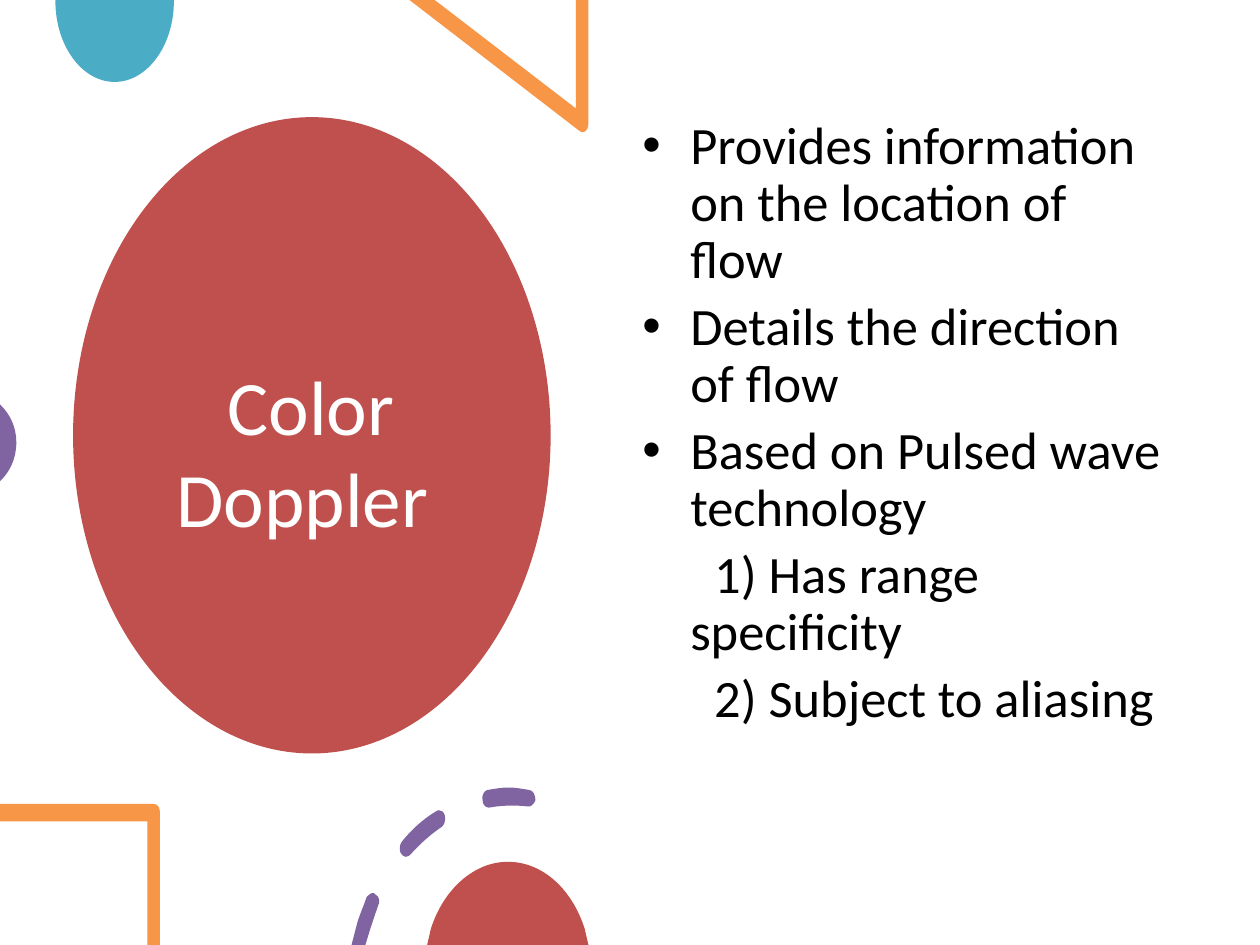
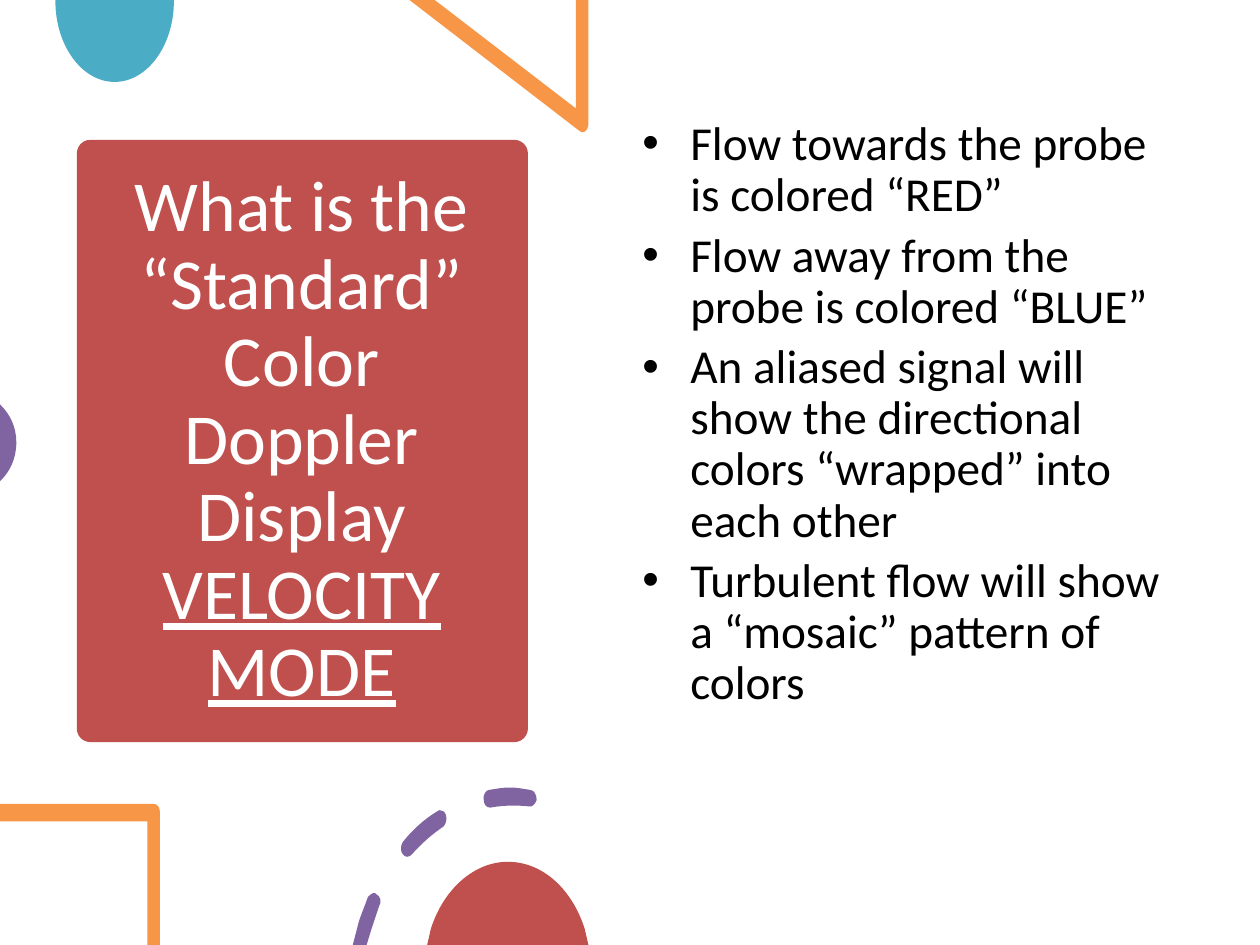
from dataclasses import dataclass

from lxml import etree
from pptx import Presentation
from pptx import util as u
from pptx.dml.color import RGBColor
from pptx.enum import shapes, text
from pptx.oxml.ns import qn


@dataclass(frozen=True)
class Theme:
    font: str = "Calibri"
    red: str = "C0504D"
    teal: str = "4BACC6"
    orange: str = "F79646"
    purple: str = "8064A2"
    white: str = "FFFFFF"
    black: str = "000000"
    large_title: int = 44
    long_title: int = 41
    large_body: int = 30
    dense_body: int = 27
    tight: float = 0.9
    paragraph_gap: float = 0.2
    hanging: float = 0.38
    step_indent: float = 0.19


THEME = Theme()
UNITS = 1000
BODY_BOX = (5, 0.9, 4.31, 5.35)

TEAL_DISC = [[(0.94, 0), (0, 0), (0, 0.01),
              (0, 0.36, 0.21, 0.65, 0.47, 0.65), (0.73, 0.65, 0.94, 0.36, 0.94, 0.01)]]
TRIANGLE = [[(1.42, 0), (1.32, 0), (1.32, 0.86), (0.2, 0), (0, 0), (1.35, 1.04),
             (1.36, 1.05, 1.36, 1.05, 1.37, 1.05), (1.4, 1.05, 1.42, 1.02, 1.42, 0.98)]]
PURPLE_DISC = [[(0, 0), (0, 0.61), (0.01, 0.6),
                (0.08, 0.53, 0.13, 0.43, 0.13, 0.3), (0.13, 0.18, 0.08, 0.08, 0.01, 0.01)]]
FRAME = [[(1.22, 0), (0, 0), (0, 0.14), (1.17, 0.14), (1.17, 1.12), (1.27, 1.12),
          (1.27, 0.07), (1.27, 0.03, 1.25, 0, 1.22, 0)]]
DASHED_ARC = [
    [(0.18, 0.84), (0.16, 0.83, 0.14, 0.85, 0.12, 0.87), (0.1, 0.93, 0.07, 1, 0.05, 1.06),
     (0, 1.25), (0.11, 1.25), (0.15, 1.12), (0.17, 1.06, 0.19, 1, 0.21, 0.94),
     (0.23, 0.91, 0.22, 0.86, 0.19, 0.85), (0.19, 0.84, 0.18, 0.84, 0.18, 0.84)],
    [(0.69, 0.18), (0.68, 0.18, 0.68, 0.18, 0.67, 0.19), (0.57, 0.25, 0.48, 0.33, 0.4, 0.43),
     (0.38, 0.45, 0.38, 0.5, 0.39, 0.52), (0.4, 0.54, 0.42, 0.55, 0.43, 0.55),
     (0.45, 0.55, 0.46, 0.54, 0.47, 0.53), (0.54, 0.45, 0.63, 0.37, 0.72, 0.31),
     (0.74, 0.29, 0.75, 0.25, 0.74, 0.22), (0.73, 0.19, 0.71, 0.18, 0.69, 0.18)],
    [(1.25, 0), (1.19, 0, 1.14, 0.01, 1.08, 0.02), (1.06, 0.02, 1.03, 0.06, 1.04, 0.1),
     (1.04, 0.13, 1.06, 0.16, 1.09, 0.16), (1.2, 0.14, 1.3, 0.14, 1.4, 0.15),
     (1.42, 0.16, 1.45, 0.13, 1.46, 0.1), (1.46, 0.06, 1.44, 0.02, 1.41, 0.02),
     (1.35, 0.01, 1.3, 0, 1.25, 0)],
]
RED_DISC = [[(0.64, 0), (0.37, 0, 0.13, 0.22, 0.03, 0.53), (0, 0.66), (1.28, 0.66),
             (1.25, 0.53), (1.15, 0.22, 0.92, 0, 0.64, 0)]]


def set_attributes(target, **values):
    for name, value in values.items():
        setattr(target, name, value)


def paint(shape, color):
    shape.shadow.inherit = False
    shape.fill.solid()
    shape.fill.fore_color.rgb = RGBColor.from_string(color)
    shape.line.fill.background()


def to_units(segment):
    return [round(length * UNITS) for length in segment]


def bend_segments(shape, segments):
    for node, segment in zip(list(shape._element.iter(qn("a:lnTo"))), segments):
        if len(segment) == 2:
            continue
        node.tag = qn("a:cubicBezTo")
        for index, start in enumerate((0, 2)):
            x, y = segment[start:start + 2]
            node.insert(index, etree.Element(qn("a:pt"), x=str(x), y=str(y)))


def add_outline(slide, left, top, outlines, color):
    contours = [[to_units(segment) for segment in outline] for outline in outlines]
    builder = slide.shapes.build_freeform(*contours[0][0], scale=u.Inches(1) / UNITS)
    for index, (start, *segments) in enumerate(contours):
        if index:
            builder.move_to(*start)
        builder.add_line_segments([segment[-2:] for segment in segments], close=True)
    shape = builder.convert_to_shape(u.Inches(left), u.Inches(top))
    bend_segments(shape, [segment for contour in contours for segment in contour[1:]])
    paint(shape, color)


def add_text_frame(slide, box, anchor):
    frame = slide.shapes.add_textbox(*map(u.Inches, box)).text_frame
    set_attributes(frame, word_wrap=True, vertical_anchor=anchor)
    return frame


def add_run(paragraph, words, size, color, underline=None):
    run = paragraph.add_run()
    run.text = words
    set_attributes(run.font, name=THEME.font, size=u.Pt(size), underline=underline)
    run.font.color.rgb = RGBColor.from_string(color)


def add_title(slide, box, lines, size, spacing):
    paragraph = add_text_frame(slide, box, text.MSO_ANCHOR.MIDDLE).paragraphs[0]
    set_attributes(paragraph, alignment=text.PP_ALIGN.CENTER, line_spacing=spacing)
    for index, (words, underline) in enumerate(lines):
        if index:
            paragraph.add_line_break()
        add_run(paragraph, words, size, THEME.white, underline)


def add_title_panel(slide, box, kind, corner=None):
    panel = slide.shapes.add_shape(kind, *map(u.Inches, box))
    if corner is not None:
        panel.adjustments[0] = corner
    paint(panel, THEME.red)


def set_indent(paragraph, bulleted):
    properties = paragraph._p.get_or_add_pPr()
    indent = -THEME.hanging if bulleted else THEME.step_indent
    properties.set("marL", str(u.Inches(THEME.hanging)))
    properties.set("indent", str(u.Inches(indent)))
    if bulleted:
        etree.SubElement(properties, qn("a:buFont"), typeface="Arial")
        etree.SubElement(properties, qn("a:buChar"), char="•")
    else:
        etree.SubElement(properties, qn("a:buNone"))


def add_body(slide, box, points, size, steps=()):
    frame = add_text_frame(slide, box, text.MSO_ANCHOR.TOP)
    for index, words in enumerate([*points, *steps]):
        paragraph = frame.add_paragraph() if index else frame.paragraphs[0]
        set_indent(paragraph, index < len(points))
        gap = size * THEME.paragraph_gap if index else 0
        set_attributes(paragraph, line_spacing=THEME.tight, space_before=u.Pt(gap))
        add_run(paragraph, words, size, THEME.black)


def add_decorations(slide, arc_left):
    for left, top, outlines, color in (
        (0.44, 0, TEAL_DISC, THEME.teal),
        (3.25, 0, TRIANGLE, THEME.orange),
        (0, 3.21, PURPLE_DISC, THEME.purple),
        (0, 6.38, FRAME, THEME.orange),
        (arc_left, 6.25, DASHED_ARC, THEME.purple),
        (3.39, 6.84, RED_DISC, THEME.red),
    ):
        add_outline(slide, left, top, outlines, color)


def add_color_doppler(slide):
    add_title_panel(slide, (0.58, 0.93, 3.79, 5.05), shapes.MSO_SHAPE.OVAL)
    add_title(slide, (1.14, 1.35, 2.66, 4.45), [("Color Doppler ", None)], THEME.large_title, 1.0)
    add_decorations(slide, 2.79)
    add_body(slide, BODY_BOX, [
        "Provides information on the location of flow",
        "Details the direction of flow",
        "Based on Pulsed wave technology",
    ], THEME.large_body, ["1) Has range specificity", "2) Subject to aliasing"])


def add_velocity_mode(slide):
    add_title_panel(slide, (0.61, 1.11, 3.58, 4.78), shapes.MSO_SHAPE.ROUNDED_RECTANGLE, 0.03)
    add_title(slide, (0.78, 1.22, 3.23, 4.56), [
        ("What is the “Standard” Color Doppler Display", None),
        ("VELOCITY MODE", True),
    ], THEME.long_title, THEME.tight)
    add_decorations(slide, 2.8)
    add_body(slide, BODY_BOX, [
        "Flow towards the probe is colored “RED”",
        "Flow away from the probe is colored “BLUE”",
        "An aliased signal will show the directional colors “wrapped” into each other",
        "Turbulent flow will show a “mosaic” pattern of colors",
    ], THEME.dense_body)


def main():
    presentation = Presentation()
    set_attributes(presentation, slide_width=u.Inches(10), slide_height=u.Inches(7.5))
    for add_content in (add_color_doppler, add_velocity_mode):
        add_content(presentation.slides.add_slide(presentation.slide_layouts[6]))
    presentation.save("out.pptx")


if __name__ == "__main__":
    main()
